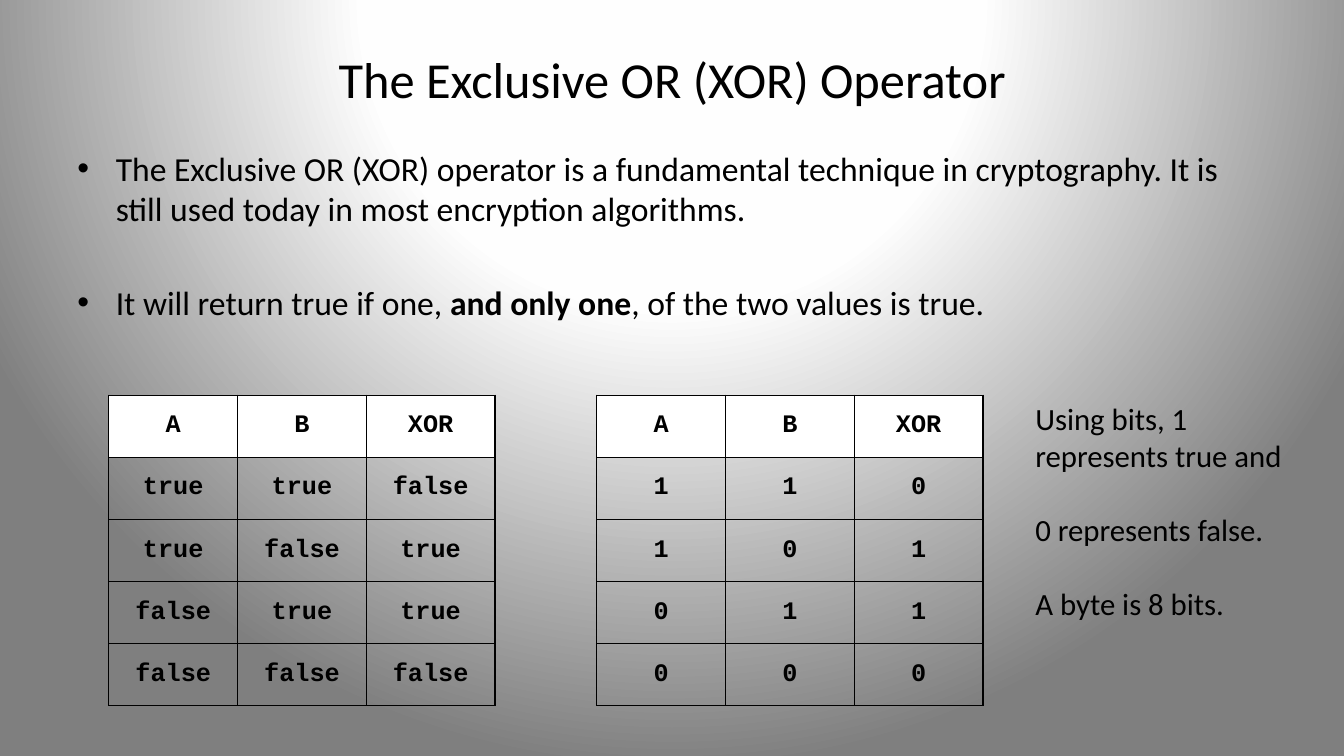
from lxml.etree import SubElement
from pptx import Presentation
from pptx.dml.color import RGBColor
from pptx.enum.text import MSO_ANCHOR as Anchor, PP_ALIGN as Align
from pptx.oxml import parse_xml
from pptx.oxml.ns import nsdecls, qn
from pptx.util import Inches, Pt

BLACK, WHITE = "000000", "FFFFFF"
BACKGROUND_STOPS = [(0, WHITE), (40, "FEFEFE"), (100, "7F7F7F")]

HEADER = ["A", "B", "XOR"]
INPUTS = [(True, True), (True, False), (False, True), (False, False)]


def color(value):
    return RGBColor.from_string(value)


def add_text(para, text, size=24, font="Calibri", bold=False, fill=BLACK):
    span = para.add_run()
    span.text = text
    span.font.size = Pt(size)
    span.font.name = font
    span.font.bold = bold
    span.font.color.rgb = color(fill)


def add_box(page, left, top, width, height, wrap=True, anchor=Anchor.TOP):
    box = page.shapes.add_textbox(
        Inches(left), Inches(top), Inches(width), Inches(height))
    frame = box.text_frame
    frame.word_wrap = wrap
    frame.vertical_anchor = anchor
    return frame


def add_paragraph(frame, first, space_before=0):
    para = frame.paragraphs[0] if first else frame.add_paragraph()
    para.space_before = Pt(0 if first else space_before)
    return para


def set_background(page):
    page.background.fill.solid()
    properties = page.element.find(".//" + qn("p:bgPr"))
    stops = "".join(
        f'<a:gs pos="{position * 1000}"><a:srgbClr val="{value}"/></a:gs>'
        for position, value in BACKGROUND_STOPS)
    gradient = parse_xml(
        f'<a:gradFill rotWithShape="1" {nsdecls("a")}><a:gsLst>{stops}</a:gsLst>'
        '<a:path path="circle"><a:fillToRect l="50000" t="-80000" '
        'r="50000" b="180000"/></a:path></a:gradFill>')
    properties.replace(properties.find(qn("a:solidFill")), gradient)


def add_bullets(page, items):
    frame = add_box(page, 0.67, 1.42, 12, 2.33)
    for index, spans in enumerate(items):
        para = add_paragraph(frame, index == 0, space_before=38)
        properties = para._p.get_or_add_pPr()
        properties.set("marL", str(Inches(0.38)))
        properties.set("indent", str(Inches(-0.38)))
        SubElement(properties, qn("a:buFont"), typeface="Arial")
        SubElement(properties, qn("a:buChar"), char="•")
        for text, bold in spans:
            add_text(para, text, bold=bold)


def set_borders(cell):
    properties = cell._tc.get_or_add_tcPr()
    for index, side in enumerate(("lnL", "lnR", "lnT", "lnB")):
        properties.insert(index, parse_xml(
            f'<a:{side} w="{Pt(1)}" {nsdecls("a")}><a:solidFill>'
            f'<a:srgbClr val="{BLACK}"/></a:solidFill></a:{side}>'))


def add_truth_table(page, left, names):
    """Draw the XOR table; names holds the words for false and true."""
    rows = [HEADER] + [[names[a], names[b], names[a != b]] for a, b in INPUTS]
    table = page.shapes.add_table(
        len(rows), len(HEADER), Inches(left), Inches(3.92),
        Inches(3.83), Inches(3.08)).table
    table.first_row = table.horz_banding = False
    for row_index, row in enumerate(rows):
        for column_index, text in enumerate(row):
            cell = table.cell(row_index, column_index)
            set_borders(cell)
            if row_index == 0:
                cell.fill.solid()
                cell.fill.fore_color.rgb = color(WHITE)
            else:
                cell.fill.background()
            cell.vertical_anchor = Anchor.MIDDLE
            para = cell.text_frame.paragraphs[0]
            para.alignment = Align.CENTER
            add_text(para, text, size=18, font="Courier New", bold=True)


def add_side_note(page, groups):
    frame = add_box(page, 10.17, 3.92, 2.68, 1.95, wrap=False)
    for index, lines in enumerate(groups):
        para = add_paragraph(frame, index == 0, space_before=26.5)
        for line_index, line in enumerate(lines):
            if line_index:
                para.add_line_break()
            add_text(para, line, size=22)


def main():
    deck = Presentation()
    deck.slide_width, deck.slide_height = Inches(13.33), Inches(7.5)
    page = deck.slides.add_slide(deck.slide_layouts[6])
    set_background(page)

    # Title
    title = add_box(page, 0.67, 0.3, 12, 0.95, anchor=Anchor.MIDDLE)
    title.paragraphs[0].alignment = Align.CENTER
    add_text(title.paragraphs[0], "The Exclusive OR (XOR) Operator", size=36)

    # Explanation
    add_bullets(page, [
        [("The Exclusive OR (XOR) operator is a fundamental technique in "
          "cryptography. It is still used today in most encryption "
          "algorithms.", False)],
        [("It will return true if one, ", False), ("and only one", True),
         (", of the two values is true.", False)],
    ])

    # Truth tables in words and in bits
    add_truth_table(page, 1.08, ("false", "true"))
    add_truth_table(page, 5.92, ("0", "1"))

    # Note on bits
    add_side_note(page, [
        ["Using bits, 1", "represents true and"],
        ["0 represents false."],
        ["A byte is 8 bits."],
    ])

    deck.save("out.pptx")


if __name__ == "__main__":
    main()
